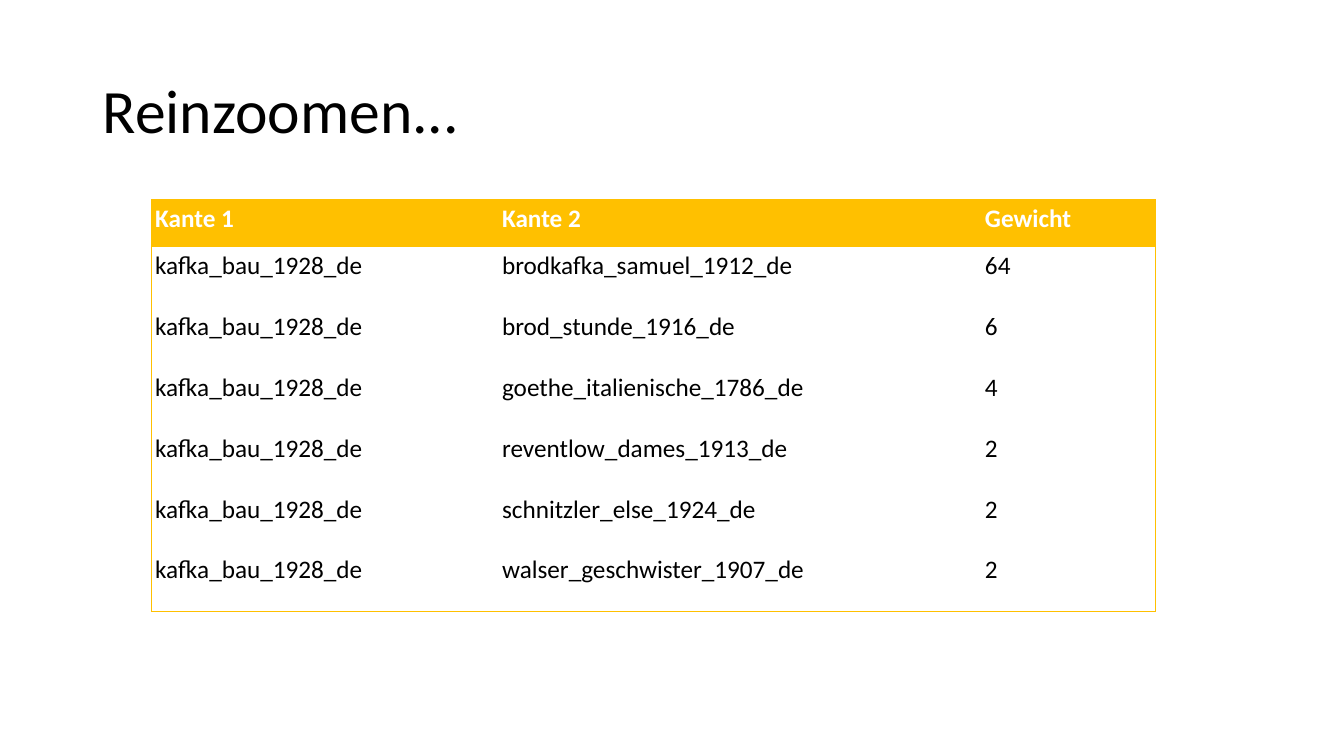
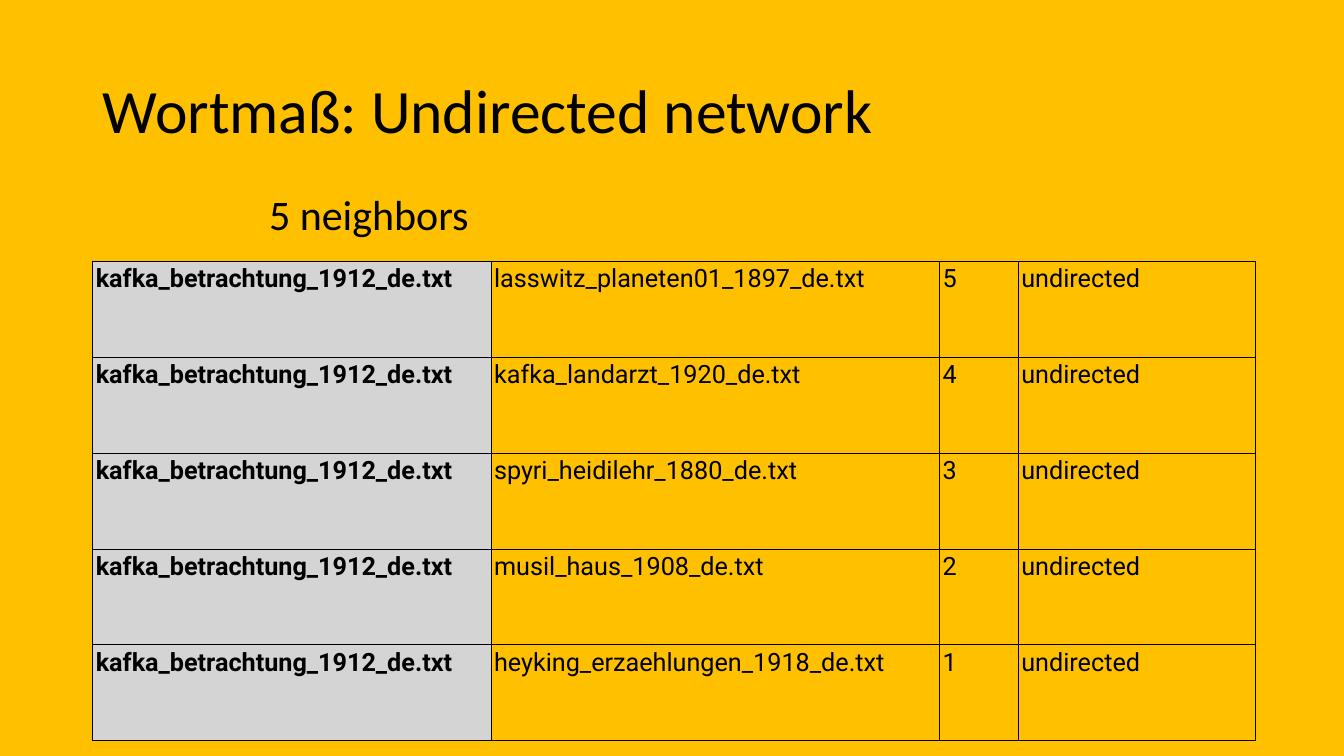
from dataclasses import dataclass
from typing import Optional

from lxml.etree import SubElement
from pptx import Presentation
from pptx.dml.color import RGBColor
from pptx.enum.text import MSO_ANCHOR, PP_ALIGN
from pptx.oxml.ns import qn
from pptx.util import Inches, Pt

GOLD = RGBColor(0xFF, 0xC0, 0x00)
GREY = RGBColor(0xD4, 0xD4, 0xD4)
BLACK = RGBColor(0x00, 0x00, 0x00)
WHITE = RGBColor(0xFF, 0xFF, 0xFF)
BODY_FONT = "Calibri"
DATA_FONT = "Roboto"
SIDES = ("L", "R", "T", "B")
BORDER_WIDTH = 0.75


@dataclass(frozen=True)
class Grid:
    left: float
    top: float
    columns: tuple[float, ...]
    heights: tuple[float, ...]
    rows: list[tuple[str, ...]]
    font: str
    inset: float
    border: RGBColor
    inner_borders: bool = False
    header_fill: Optional[RGBColor] = None
    first_column_fill: Optional[RGBColor] = None


EDGES = Grid(
    left=1.5, top=1.98, columns=(3.44, 4.79, 1.73), heights=(0.47,) + (3.62 / 6,) * 6,
    rows=[("Kante 1", "Kante 2", "Gewicht")] + [
        ("kafka_bau_1928_de", neighbor, weight)
        for neighbor, weight in (
            ("brodkafka_samuel_1912_de", "64"),
            ("brod_stunde_1916_de", "6"),
            ("goethe_italienische_1786_de", "4"),
            ("reventlow_dames_1913_de", "2"),
            ("schnitzler_else_1924_de", "2"),
            ("walser_geschwister_1907_de", "2"),
        )
    ],
    font=BODY_FONT, inset=0.04, border=GOLD, header_fill=GOLD,
)

NEIGHBORS = Grid(
    left=0.92, top=2.59, columns=(3.95, 4.45, 0.78, 2.35), heights=(4.76 / 5,) * 5,
    rows=[
        ("kafka_betrachtung_1912_de.txt", neighbor, str(5 - rank), "undirected")
        for rank, neighbor in enumerate((
            "lasswitz_planeten01_1897_de.txt",
            "kafka_landarzt_1920_de.txt",
            "spyri_heidilehr_1880_de.txt",
            "musil_haus_1908_de.txt",
            "heyking_erzaehlungen_1918_de.txt",
        ))
    ],
    font=DATA_FONT, inset=0.03, border=BLACK,
    inner_borders=True, first_column_fill=GREY,
)


def write_text(frame, text: str, *, size: float, font: str = BODY_FONT,
               color: RGBColor = BLACK, bold: bool = False):
    para = frame.paragraphs[0]
    para.alignment = PP_ALIGN.LEFT
    span = para.add_run()
    span.text = text
    span.font.size = Pt(size)
    span.font.name = font
    span.font.color.rgb = color
    span.font.bold = bold
    return para


def add_page(deck, title: str, background: RGBColor):
    page = deck.slides.add_slide(deck.slide_layouts[5])
    page.background.fill.solid()
    page.background.fill.fore_color.rgb = background
    box = page.shapes.title
    box.left, box.top = Inches(0.92), Inches(0.4)
    box.width, box.height = Inches(11.5), Inches(1.45)
    box.text_frame.vertical_anchor = MSO_ANCHOR.MIDDLE
    write_text(box.text_frame, title, size=44).line_spacing = 0.9
    return page


def set_borders(cell, visible: dict[str, bool], color: RGBColor) -> None:
    properties = cell._tc.get_or_add_tcPr()
    for side in SIDES:
        line = SubElement(properties, qn(f"a:ln{side}"), w=str(Pt(BORDER_WIDTH)))
        if visible[side]:
            fill = SubElement(line, qn("a:solidFill"))
            SubElement(fill, qn("a:srgbClr"), val=str(color))
        else:
            SubElement(line, qn("a:noFill"))


def fill_cell(cell, color: Optional[RGBColor]) -> None:
    if color is None:
        cell.fill.background()
    else:
        cell.fill.solid()
        cell.fill.fore_color.rgb = color


def add_grid(page, grid: Grid) -> None:
    last_row, last_column = len(grid.rows) - 1, len(grid.columns) - 1
    table = page.shapes.add_table(
        len(grid.rows), len(grid.columns), Inches(grid.left), Inches(grid.top),
        Inches(sum(grid.columns)), Inches(sum(grid.heights)),
    ).table
    table.first_row = grid.header_fill is not None
    table.horz_banding = False
    for column, width in zip(table.columns, grid.columns):
        column.width = Inches(width)
    for row, height in zip(table.rows, grid.heights):
        row.height = Inches(height)
    for row_index, values in enumerate(grid.rows):
        for column_index, value in enumerate(values):
            cell = table.cell(row_index, column_index)
            header = row_index == 0 and grid.header_fill is not None
            marked = column_index == 0 and grid.first_column_fill is not None
            outer = {"L": column_index == 0, "R": column_index == last_column,
                     "T": row_index == 0, "B": row_index == last_row}
            visible = {side: grid.inner_borders or outer[side] for side in SIDES}
            set_borders(cell, visible, grid.border)
            fill_cell(cell, grid.header_fill if header
                      else grid.first_column_fill if marked else None)
            cell.margin_left = cell.margin_right = Inches(grid.inset)
            cell.margin_top = cell.margin_bottom = Inches(grid.inset)
            write_text(cell.text_frame, value, size=18, font=grid.font,
                       color=WHITE if header else BLACK, bold=header or marked)


def add_subtitle(page, text: str) -> None:
    box = page.shapes.add_textbox(Inches(2.07), Inches(1.82), Inches(2.71), Inches(0.61))
    box.text_frame.word_wrap = False
    para = write_text(box.text_frame, text, size=30)
    para.level = 1
    properties = para._p.get_or_add_pPr()
    properties.set("marL", str(Inches(0.5)))
    properties.set("indent", "0")


def main() -> None:
    deck = Presentation()
    deck.slide_width, deck.slide_height = Inches(13.33), Inches(7.5)
    add_grid(add_page(deck, "Reinzoomen...", WHITE), EDGES)
    network = add_page(deck, "Wortmaß: Undirected network", GOLD)
    add_grid(network, NEIGHBORS)
    add_subtitle(network, "5 neighbors")
    deck.save("out.pptx")


if __name__ == "__main__":
    main()
